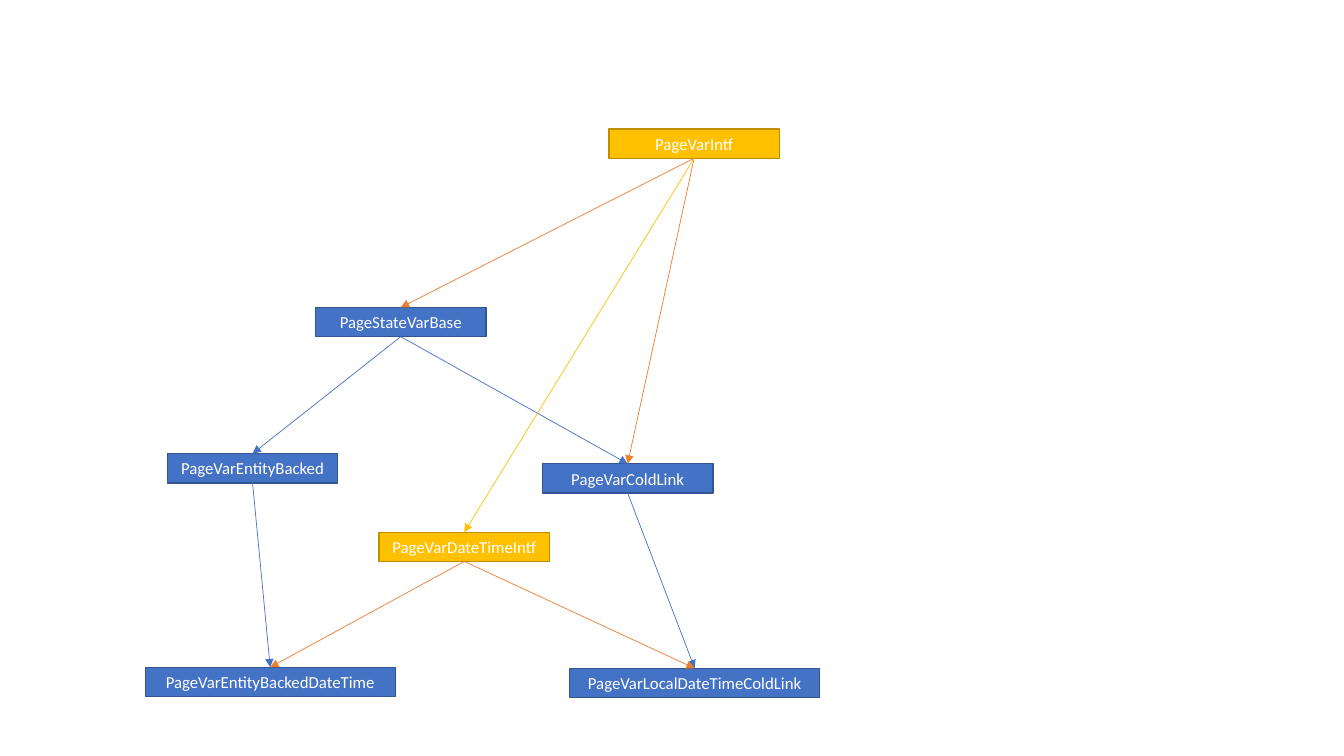
import pptx
import pptx.dml.color
import pptx.enum.shapes
import pptx.enum.text
import pptx.oxml
import pptx.oxml.ns
import pptx.util
from pptx.util import Inches

COLORS = {
    "interface": "FFC000",
    "interface_border": "BD8E00",
    "class": "4472C4",
    "class_border": "325491",
    "implements": "ED7D31",
    "text": "FFFFFF",
}
NARROW, WIDE, BOX_HEIGHT = 1.69, 2.48, 0.29
TOP_SITE, BOTTOM_SITE = 0, 2

# name, kind, left, top, width
TYPES = [
    ("PageVarIntf", "interface", 6.04, 1.28, NARROW),
    ("PageStateVarBase", "class", 3.13, 3.05, NARROW),
    ("PageVarEntityBacked", "class", 1.66, 4.5, NARROW),
    ("PageVarColdLink", "class", 5.38, 4.6, NARROW),
    ("PageVarDateTimeIntf", "interface", 3.76, 5.28, NARROW),
    ("PageVarEntityBackedDateTime", "class", 1.44, 6.62, WIDE),
    ("PageVarLocalDateTimeColdLink", "class", 5.65, 6.63, WIDE),
]

# parent, child, relation
RELATIONS = [
    ("PageVarIntf", "PageStateVarBase", "implements"),
    ("PageStateVarBase", "PageVarEntityBacked", "class"),
    ("PageStateVarBase", "PageVarColdLink", "class"),
    ("PageVarIntf", "PageVarColdLink", "implements"),
    ("PageVarIntf", "PageVarDateTimeIntf", "interface"),
    ("PageVarEntityBacked", "PageVarEntityBackedDateTime", "class"),
    ("PageVarDateTimeIntf", "PageVarEntityBackedDateTime", "implements"),
    ("PageVarColdLink", "PageVarLocalDateTimeColdLink", "class"),
    ("PageVarDateTimeIntf", "PageVarLocalDateTimeColdLink", "implements"),
]


def color(name):
    return pptx.dml.color.RGBColor.from_string(COLORS[name])


class HierarchyDiagram:
    font = "Calibri"
    font_size = pptx.util.Pt(12)

    def __init__(self, slide):
        self.slide = slide

    def type_box(self, name, kind, left, top, width):
        box = self.slide.shapes.add_shape(
            pptx.enum.shapes.MSO_SHAPE.RECTANGLE,
            Inches(left), Inches(top), Inches(width), Inches(BOX_HEIGHT))
        box.shadow.inherit = False
        box.fill.solid()
        box.fill.fore_color.rgb = color(kind)
        box.line.color.rgb = color(kind + "_border")
        box.line.width = pptx.util.Pt(1)

        frame = box.text_frame
        frame.text = name
        frame.word_wrap = True
        frame.vertical_anchor = pptx.enum.text.MSO_ANCHOR.MIDDLE
        paragraph = frame.paragraphs[0]
        paragraph.alignment = pptx.enum.text.PP_ALIGN.CENTER
        font = paragraph.runs[0].font
        font.name = self.font
        font.size = self.font_size
        font.color.rgb = color("text")
        return box

    def arrow(self, parent, child, relation):
        """Join the parent's bottom to the child's top."""
        connector = self.slide.shapes.add_connector(
            pptx.enum.shapes.MSO_CONNECTOR.STRAIGHT, 0, 0, 0, 0)
        connector.begin_connect(parent, BOTTOM_SITE)
        connector.end_connect(child, TOP_SITE)
        connector.line.color.rgb = color(relation)
        connector.line.width = pptx.util.Pt(0.5)
        namespace = pptx.oxml.ns.nsdecls("a")
        connector.line._get_or_add_ln().append(
            pptx.oxml.parse_xml(f'<a:tailEnd {namespace} type="triangle"/>'))
        connector._element.spPr.append(
            pptx.oxml.parse_xml(f"<a:effectLst {namespace}/>"))


def main():
    deck = pptx.Presentation()
    deck.slide_width, deck.slide_height = Inches(13.33), Inches(7.5)
    blank_layout = deck.slide_layouts[6]
    diagram = HierarchyDiagram(deck.slides.add_slide(blank_layout))

    boxes = {row[0]: diagram.type_box(*row) for row in TYPES}
    for parent, child, relation in RELATIONS:
        diagram.arrow(boxes[parent], boxes[child], relation)

    deck.save("out.pptx")


if __name__ == "__main__":
    main()
